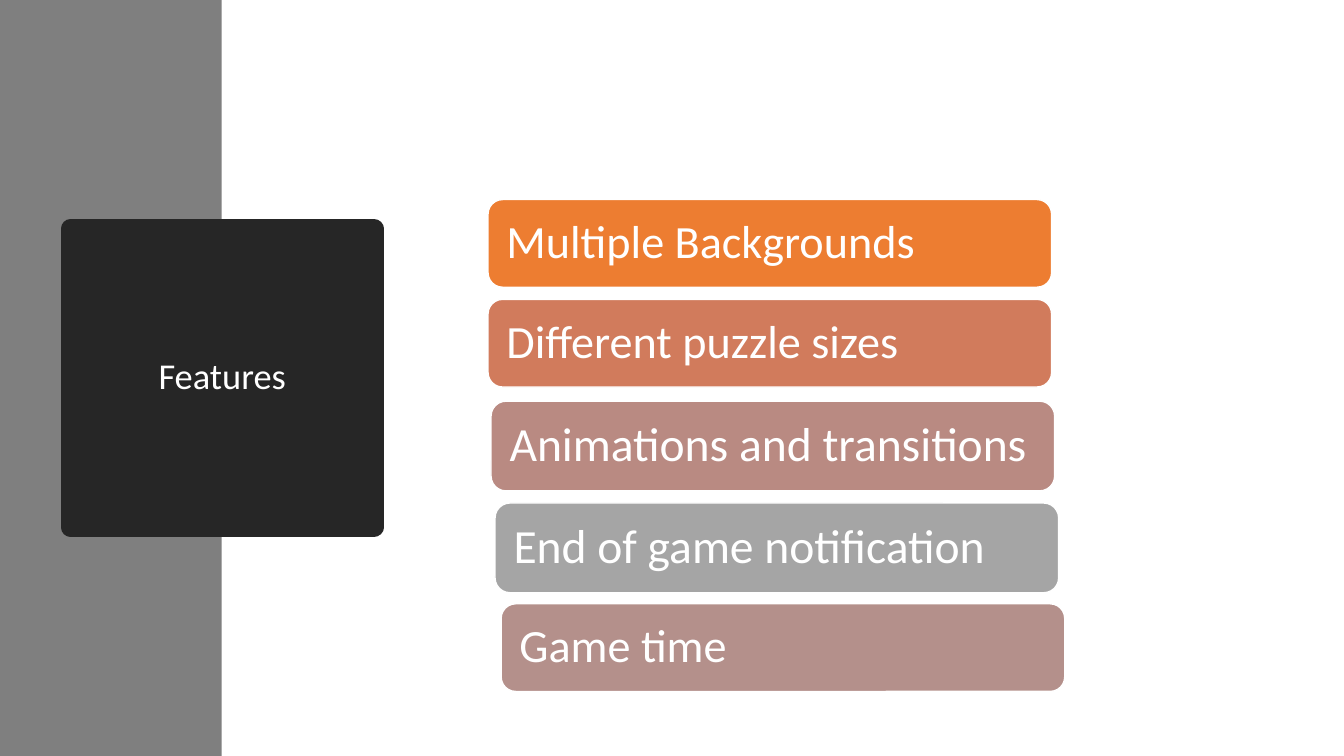
from pptx import Presentation
from pptx.dml.color import RGBColor
from pptx.enum.shapes import MSO_SHAPE
from pptx.enum.text import MSO_ANCHOR, MSO_AUTO_SIZE, PP_ALIGN
from pptx.oxml import parse_xml
from pptx.oxml.ns import nsdecls
from pptx.util import Inches, Pt

WHITE = RGBColor(0xFF, 0xFF, 0xFF)
BAND_GREY = RGBColor(0x7F, 0x7F, 0x7F)
CIRCLE_DARK = RGBColor(0x26, 0x26, 0x26)

# text, left, top, height, font size, fill
FEATURES = [
    ("Multiple Backgrounds", 4.84, 1.98, 0.87, 33, RGBColor(0xED, 0x7D, 0x31)),
    ("Different puzzle sizes", 4.84, 2.97, 0.87, 33, RGBColor(0xD1, 0x7B, 0x5C)),
    ("Animations and transitions", 4.87, 3.98, 0.89, 34, RGBColor(0xB9, 0x8A, 0x82)),
    ("End of game notification", 4.91, 4.99, 0.89, 34, RGBColor(0xA5, 0xA5, 0xA5)),
    ("Game time", 4.97, 5.99, 0.87, 33, RGBColor(0xB4, 0x90, 0x8B)),
]
CARD_WIDTH = 5.59


def paint(sp, fill, line=None, width=1):
    sp.fill.solid()
    sp.fill.fore_color.rgb = fill
    if line is None:
        sp.line.fill.background()
    else:
        sp.line.color.rgb = line
        sp.line.width = Pt(width)


def write(sp, text, size, align):
    tf = sp.text_frame
    tf.text = text
    tf.word_wrap = True
    tf.auto_size = MSO_AUTO_SIZE.NONE
    tf.vertical_anchor = MSO_ANCHOR.MIDDLE
    p = tf.paragraphs[0]
    p.alignment = align
    p.line_spacing = 0.9
    p.font.name = "Calibri"
    p.font.size = Pt(size)
    p.font.color.rgb = WHITE


def add_block(s, kind, left, top, width, height):
    sp = s.shapes.add_shape(kind, Inches(left), Inches(top),
                            Inches(width), Inches(height))
    sp.shadow.inherit = False
    return sp


def add_band(s):
    band = add_block(s, MSO_SHAPE.RECTANGLE, 0, 0, 2.2, 7.5)
    paint(band, BAND_GREY)
    # Keep the band behind the title
    s.shapes.title._element.addprevious(band._element)


def format_title(s, text):
    title = s.shapes.title
    title.left, title.top = Inches(0.7), Inches(2.27)
    title.width, title.height = Inches(3.01), Inches(2.96)
    # Give the placeholder a round outline
    title._element.spPr.append(parse_xml(
        f'<a:prstGeom {nsdecls("a")} prst="ellipse"><a:avLst/></a:prstGeom>'))
    paint(title, CIRCLE_DARK, CIRCLE_DARK, 13.75)
    write(title, text, 26, PP_ALIGN.CENTER)


def add_feature(s, text, left, top, height, size, fill):
    card = add_block(s, MSO_SHAPE.ROUNDED_RECTANGLE, left, top, CARD_WIDTH, height)
    paint(card, fill, WHITE)
    write(card, text, size, PP_ALIGN.LEFT)
    tf = card.text_frame
    tf.margin_left = tf.margin_right = Inches(0.14)
    tf.margin_top = tf.margin_bottom = Inches(0.14)


def main():
    prs = Presentation()
    prs.slide_width, prs.slide_height = Inches(13.33), Inches(7.5)
    s = prs.slides.add_slide(prs.slide_layouts[5])

    # Left band and round title
    add_band(s)
    format_title(s, "Features")

    # Feature list
    for feature in FEATURES:
        add_feature(s, *feature)

    prs.save("out.pptx")


if __name__ == "__main__":
    main()
